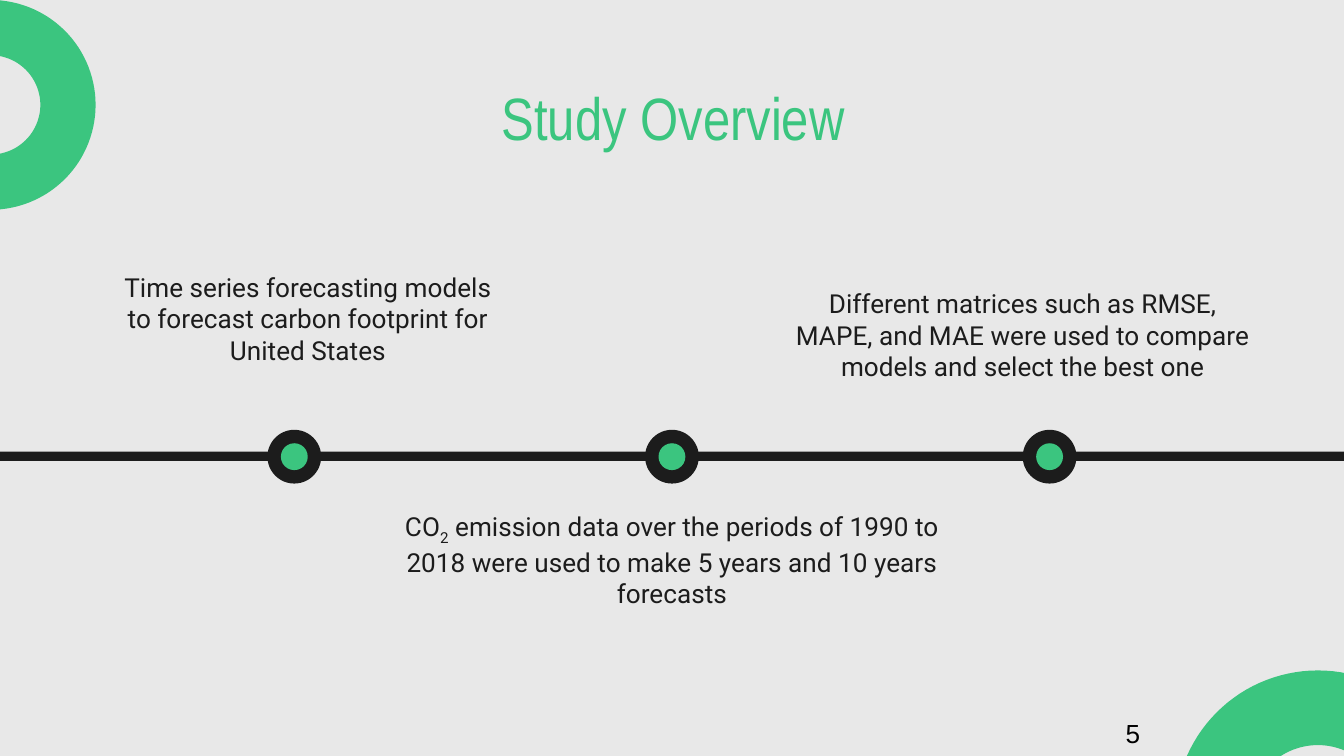
import math

from pptx import Presentation
from pptx import util as u
from pptx.dml.color import RGBColor
from pptx.enum import shapes, text

COLORS = {"paper": "E8E8E8", "green": "3BC57F", "ink": "1C1C1C", "black": "000000"}


def write(box, content, *, font="Roboto", size=14, color="ink",
          align=text.PP_ALIGN.CENTER, inset=7.2):
    frame = box.text_frame
    frame.word_wrap = True
    frame.auto_size = text.MSO_AUTO_SIZE.NONE
    frame.vertical_anchor = text.MSO_ANCHOR.TOP
    frame.margin_left = frame.margin_right = u.Pt(7.2)
    frame.margin_top = frame.margin_bottom = u.Pt(inset)
    para = frame.paragraphs[0]
    para.alignment = align
    for index, part in enumerate(content.split("_")):
        span = para.add_run()
        span.text = part
        span.font.name = font
        span.font.size = u.Pt(size)
        span.font.color.rgb = RGBColor.from_string(COLORS[color])
        if index % 2:
            span._r.get_or_add_rPr().set("baseline", "-25000")


class TimelineSlide:
    def __init__(self, deck):
        self.page = deck.slides.add_slide(deck.slide_layouts[5])
        self.page.background.fill.solid()
        self.page.background.fill.fore_color.rgb = RGBColor.from_string(COLORS["paper"])

    def paint(self, shape, color):
        shape.shadow.inherit = False
        shape.fill.solid()
        shape.fill.fore_color.rgb = RGBColor.from_string(COLORS[color])
        shape.line.fill.background()

    def title(self, content, left, top, width, height):
        box = self.page.shapes.title
        box.left, box.top, box.width, box.height = map(u.Pt, (left, top, width, height))
        write(box, content, font="Arial Narrow", size=32, color="green")

    def label(self, content, left, top, width, height, **style):
        box = self.page.shapes.add_textbox(*map(u.Pt, (left, top, width, height)))
        write(box, content, **style)

    def half_ring(self, x, y, outer, inner, start):
        def arc(radius):
            angles = [math.radians(start + 3 * step) for step in range(61)]
            return [(u.Pt(x + radius * math.cos(angle)), u.Pt(y + radius * math.sin(angle)))
                    for angle in angles]

        points = arc(outer) + arc(inner)[::-1]
        builder = self.page.shapes.build_freeform(*points[0])
        builder.add_line_segments(points[1:], close=True)
        self.paint(builder.convert_to_shape(), "green")

    def bar(self, left, top, width, height):
        shape = self.page.shapes.add_shape(
            shapes.MSO_SHAPE.RECTANGLE, *map(u.Pt, (left, top, width, height)))
        self.paint(shape, "ink")

    def node(self, x, y):
        group = self.page.shapes.add_group_shape()
        for radius, color in ((14.4, "ink"), (7.2, "green")):
            dot = group.shapes.add_shape(
                shapes.MSO_SHAPE.OVAL, u.Pt(x - radius), u.Pt(y - radius),
                u.Pt(2 * radius), u.Pt(2 * radius))
            self.paint(dot, color)


def main():
    deck = Presentation()
    deck.slide_width, deck.slide_height = u.Pt(720), u.Pt(405)
    slide = TimelineSlide(deck)

    slide.half_ring(-5, 56.2, 56.2, 26.6, start=-90)
    slide.half_ring(706, 435.8, 76.6, 36.6, start=180)
    slide.title("Study Overview", 61.2, 36, 599, 45.4)

    slide.bar(0, 242, 720, 5)
    for offset in (-1, 0, 1):
        slide.node(360 + offset * 202.3, 244.7)

    slide.label("Time series forecasting models to forecast carbon footprint for United States",
                53, 138.2, 224, 54.7)
    slide.label("CO_2_ emission data over the periods of 1990 to 2018 were used "
                "to make 5 years and 10 years forecasts", 203, 266.4, 314, 82.8)
    slide.label("Different matrices such as RMSE, MAPE, and MAE were used to compare "
                "models and select the best one", 414.7, 147, 266.4, 54.7)
    slide.label("5", 596, 381, 22, 24, font="Arial", color="black",
                align=text.PP_ALIGN.LEFT, inset=3.6)
    deck.save("out.pptx")


if __name__ == "__main__":
    main()
